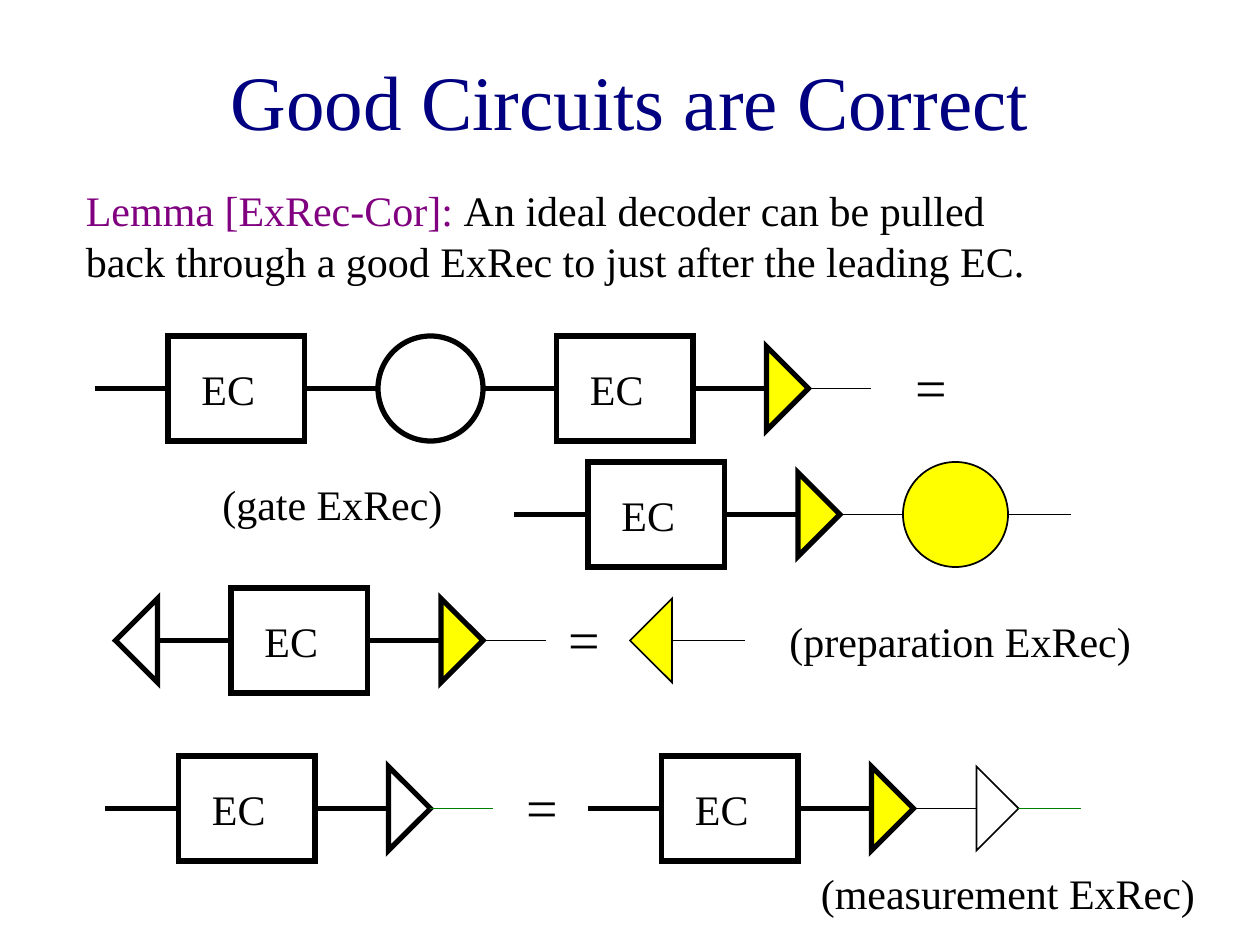
from lxml import etree
from pptx import Presentation
from pptx import util as u
from pptx.dml.color import RGBColor
from pptx.enum import shapes, text
from pptx.oxml import ns

BLACK = RGBColor(0, 0, 0)
NAVY = RGBColor(0, 0, 0x80)
PURPLE = RGBColor(0x80, 0, 0x80)
GREEN = RGBColor(0, 0x80, 0)
YELLOW = RGBColor(0xFF, 0xFF, 0)

THICK, THIN = 3, 1
BOX_W, BOX_H, CIRCLE, TRI_BASE, TRI_DEPTH = 78, 60, 60, 48, 24
LONG, SHORT = 42, 36


def set_all(target, values):
    for name, value in values.items():
        setattr(target, name, value)


def add_words(slide, area, runs, size=24, align=text.PP_ALIGN.LEFT,
              anchor=text.MSO_ANCHOR.TOP):
    frame = slide.shapes.add_textbox(*map(u.Pt, area)).text_frame
    set_all(frame, {
        "word_wrap": True, "vertical_anchor": anchor,
        "margin_left": u.Pt(7.2), "margin_right": u.Pt(7.2),
        "margin_top": u.Pt(3.6), "margin_bottom": u.Pt(3.6),
    })
    paragraph = frame.paragraphs[0]
    paragraph.alignment = align
    for words, color in runs:
        run = paragraph.add_run()
        run.text = words
        set_all(run.font, {"name": "Times New Roman", "size": u.Pt(size)})
        run.font.color.rgb = color


def add_outline(slide, kind, area, weight, fill=None, rotation=0):
    shape = slide.shapes.add_shape(kind, *map(u.Pt, area))
    shape.shadow.inherit = False
    shape.rotation = rotation
    if fill is None:
        shape.fill.background()
    else:
        shape.fill.solid()
        shape.fill.fore_color.rgb = fill
    shape.line.color.rgb = BLACK
    shape.line.width = u.Pt(weight)
    outline = shape._element.spPr.find(ns.qn("a:ln"))
    etree.SubElement(outline, ns.qn("a:miter")).set("lim", "800000")


def wire(length=LONG, weight=THICK, color=BLACK):
    def draw(slide, x, y):
        line = slide.shapes.add_connector(
            shapes.MSO_CONNECTOR.STRAIGHT,
            u.Pt(x), u.Pt(y), u.Pt(x + length), u.Pt(y))
        line.line.color.rgb = color
        line.line.width = u.Pt(weight)
        etree.SubElement(line._element.spPr, ns.qn("a:effectLst"))
        return x + length
    return draw


def gate(weight=THICK, fill=None):
    def draw(slide, x, y):
        add_outline(slide, shapes.MSO_SHAPE.OVAL,
                    (x, y - CIRCLE / 2, CIRCLE, CIRCLE), weight, fill)
        return x + CIRCLE
    return draw


def triangle(weight=THICK, fill=None, rotation=90):
    def draw(slide, x, y):
        left = x + (TRI_DEPTH - TRI_BASE) / 2
        add_outline(slide, shapes.MSO_SHAPE.ISOSCELES_TRIANGLE,
                    (left, y - TRI_DEPTH / 2, TRI_BASE, TRI_DEPTH),
                    weight, fill, rotation)
        return x + TRI_DEPTH
    return draw


def correction(slide, x, y):
    top = y - BOX_H / 2
    add_outline(slide, shapes.MSO_SHAPE.RECTANGLE, (x, top, BOX_W, BOX_H), THICK)
    add_words(slide, (x + 12, top + 12, 48, 36), [("EC", BLACK)])
    return x + BOX_W


def add_circuit(slide, x, y, parts):
    for draw in parts:
        x = draw(slide, x, y)


def main():
    deck = Presentation()
    set_all(deck, {"slide_width": u.Pt(720), "slide_height": u.Pt(540)})
    slide = deck.slides.add_slide(deck.slide_layouts[6])

    add_words(slide, (54, 12, 612, 90), [("Good Circuits are Correct", NAVY)],
              44, text.PP_ALIGN.CENTER, text.MSO_ANCHOR.MIDDLE)
    add_words(slide, (42, 102, 576, 65), [
        ("Lemma [ExRec-Cor]: ", PURPLE),
        ("An ideal decoder can be pulled back through a good ExRec "
         "to just after the leading EC.", BLACK),
    ])

    encoded = wire()
    bare = wire(SHORT, THIN)
    classical = wire(SHORT, THIN, GREEN)
    decoder = triangle(fill=YELLOW)
    corrected = [encoded, correction, encoded]
    decoded = corrected + [decoder, bare]

    circuits = [
        (54, 222, corrected + [gate()] + decoded),
        (294, 294, decoded + [gate(THIN, YELLOW), bare]),
        (66, 366, [triangle(rotation=270)] + decoded),
        (360, 366, [triangle(THIN, YELLOW, 270), wire(LONG, THIN)]),
        (60, 462, corrected + [triangle(), classical]),
        (336, 462, decoded + [triangle(THIN), classical]),
    ]
    for x, y, parts in circuits:
        add_circuit(slide, x, y, parts)

    for x, y in [(516, 222), (318, 366), (294, 462)]:
        add_words(slide, (x, y - 24, 54, 46), [("=", BLACK)], 32)

    captions = [
        ("(gate ExRec)", 120, 270, 150),
        ("(preparation ExRec)", 444, 348, 216),
        ("(measurement ExRec)", 462, 492, 240),
    ]
    for caption, x, y, width in captions:
        add_words(slide, (x, y, width, 36), [(caption, BLACK)])

    deck.save("out.pptx")


if __name__ == "__main__":
    main()
